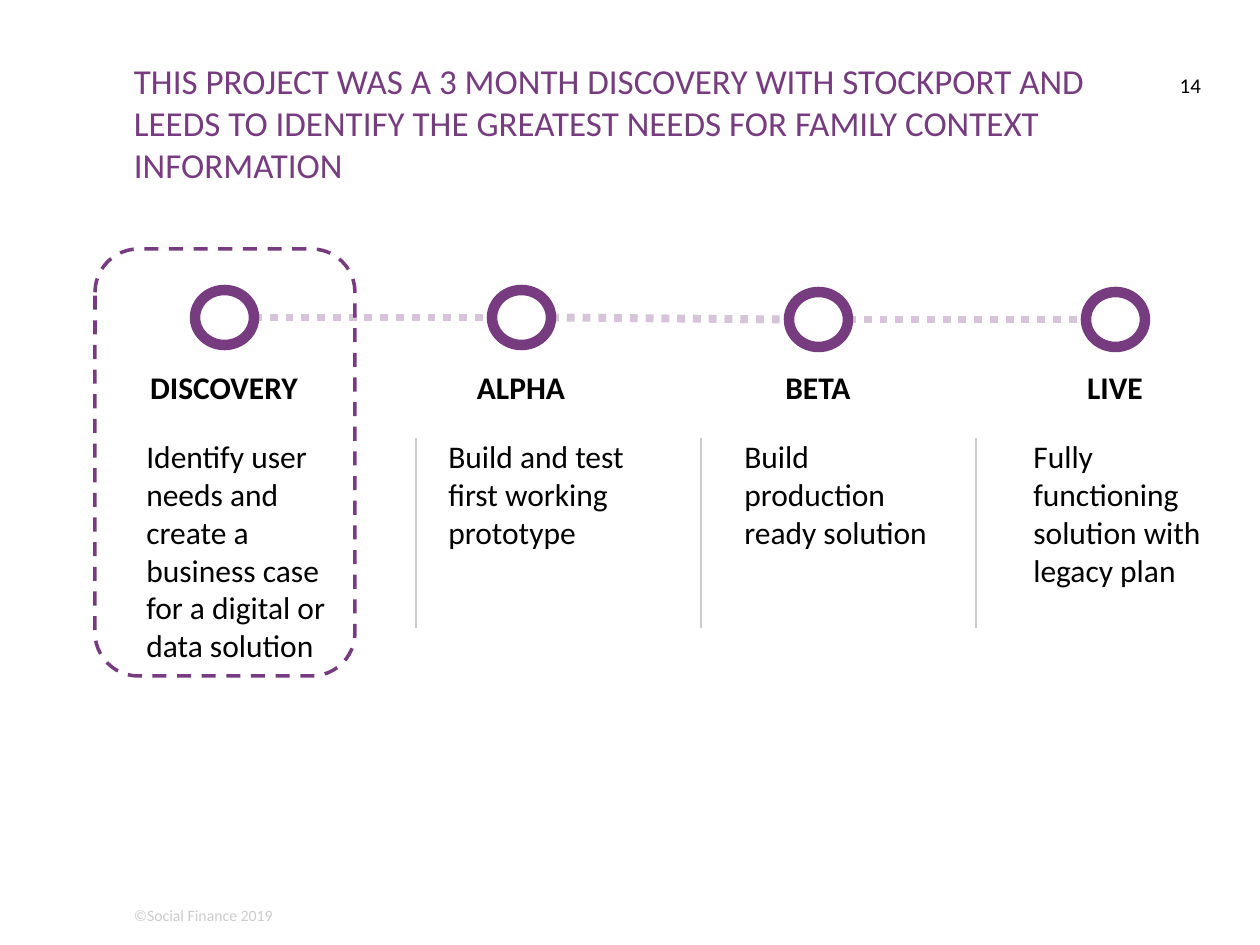
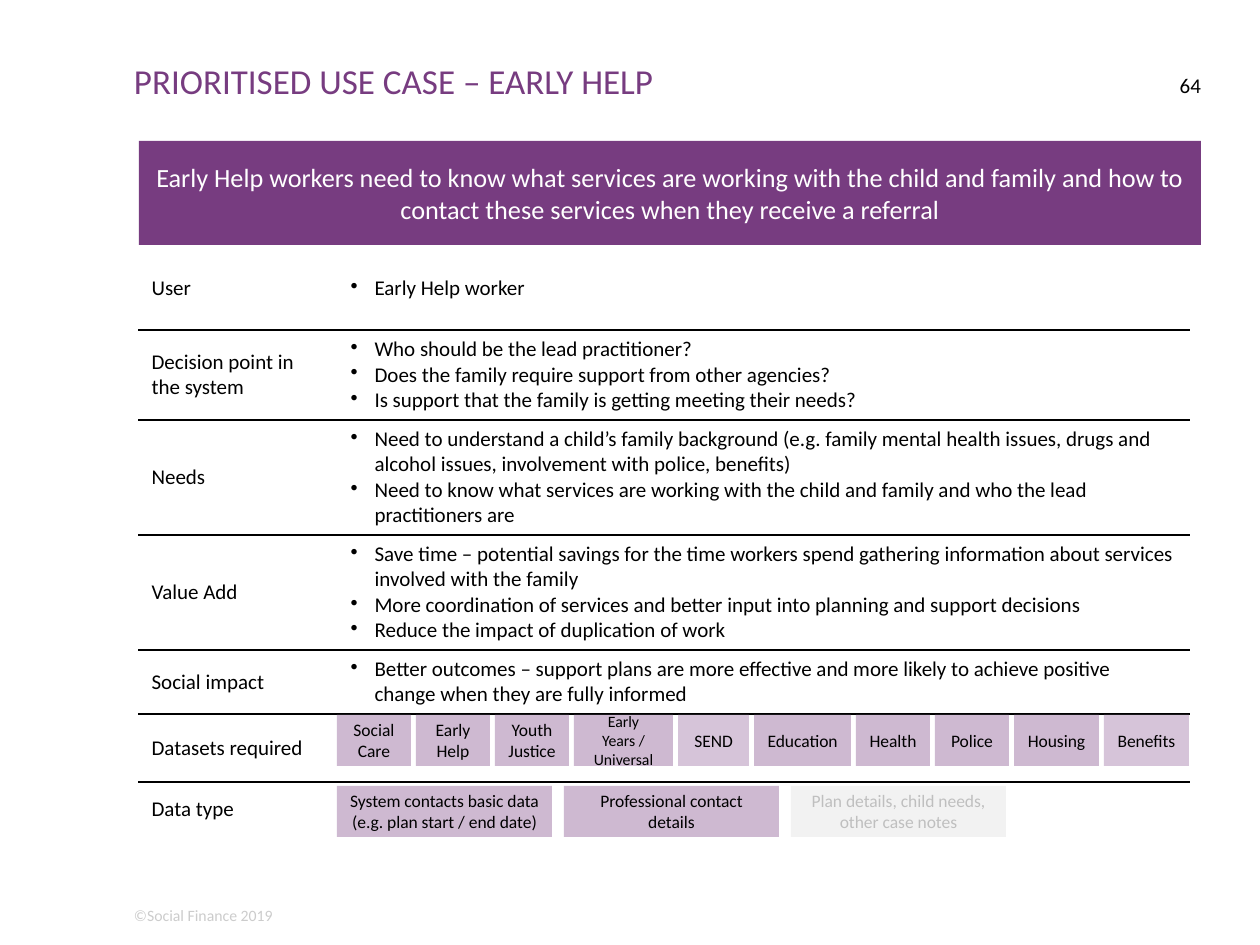
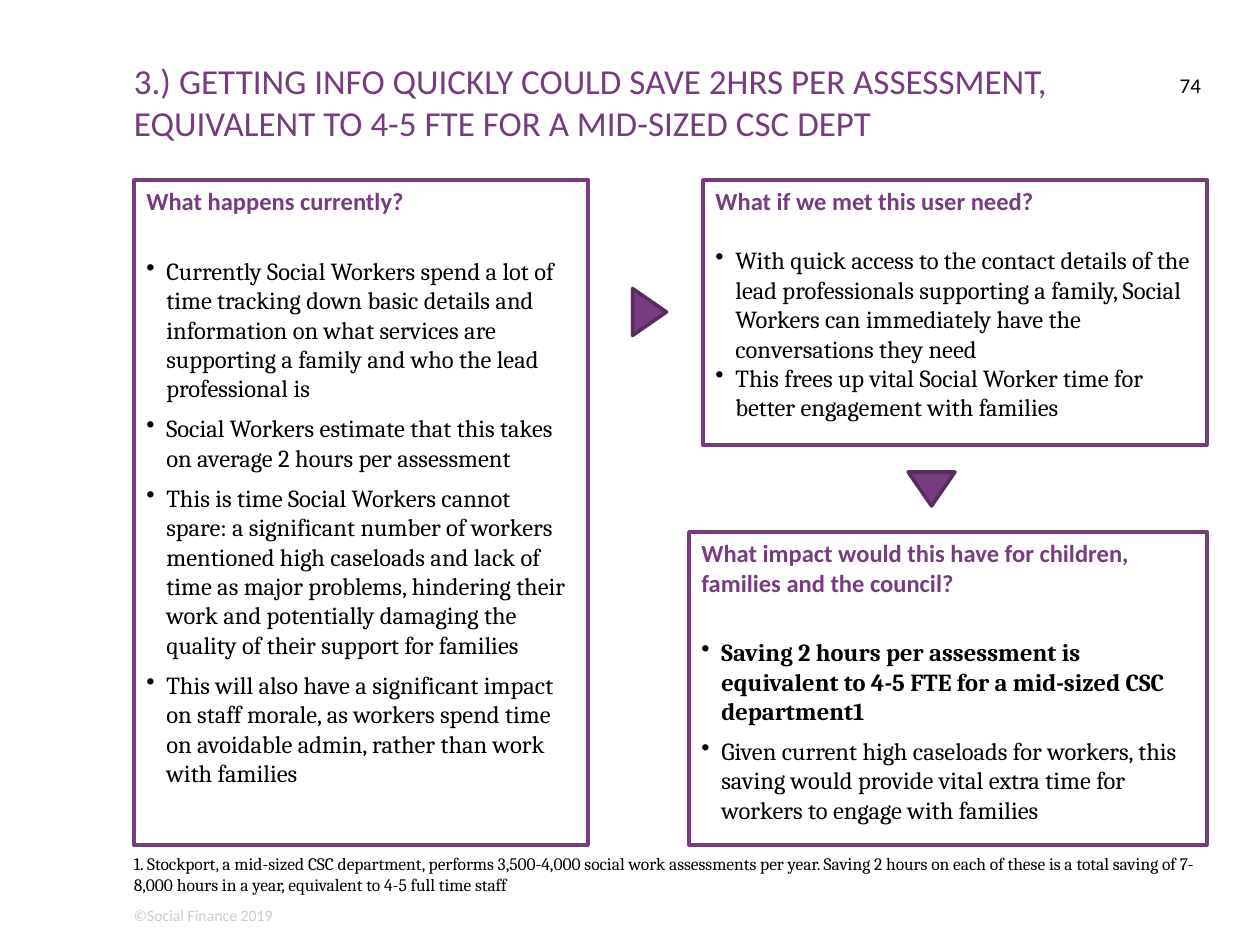
"""Build three slides on the family context discovery project."""
from lxml import etree
from pptx import Presentation
from pptx.dml.color import RGBColor
from pptx.enum.dml import MSO_LINE
from pptx.enum.shapes import MSO_CONNECTOR, MSO_SHAPE
from pptx.enum.text import MSO_ANCHOR, PP_ALIGN
from pptx.oxml.ns import qn
from pptx.util import Emu, Pt

EMU_PER_PX = 914400 / 126
SLIDE_WIDTH, SLIDE_HEIGHT = 1260, 945
COLOURS = {
    "purple": "773C80", "dark purple": "582C5F", "lilac": "CEB9D1",
    "pale lilac": "D6C4D9", "grey": "CCCCCC", "pale grey": "F2F2F2",
    "mid grey": "BFBFBF", "black": "000000", "white": "FFFFFF",
}
SANS, SERIF = "Calibri", "Cambria"
LEFT, CENTRE, RIGHT = PP_ALIGN.LEFT, PP_ALIGN.CENTER, PP_ALIGN.RIGHT
TOP, MIDDLE = MSO_ANCHOR.TOP, MSO_ANCHOR.MIDDLE
DOTTED, DASHED = MSO_LINE.ROUND_DOT, MSO_LINE.DASH
STRAIGHT = MSO_CONNECTOR.STRAIGHT
RECTANGLE, ROUNDED = MSO_SHAPE.RECTANGLE, MSO_SHAPE.ROUNDED_RECTANGLE
ELLIPSE, TRIANGLE = MSO_SHAPE.OVAL, MSO_SHAPE.ISOSCELES_TRIANGLE

STAGES = [
    ("DISCOVERY", 290, 134, 239,
     "Identify user needs and create a business case for a digital or data solution"),
    ("ALPHA", 290, 436, 224, "Build and test first working prototype"),
    ("BETA", 292, 732, 217, "Build production ready solution"),
    ("LIVE", 292, 1021, 217, "Fully functioning solution with legacy plan"),
]
USE_CASE_ROWS = [
    ("User", 83, ["Early Help worker"]),
    ("Decision point in the system", 90, [
        "Who should be the lead practitioner?",
        "Does the family require support from other agencies?",
        "Is support that the family is getting meeting their needs?"]),
    ("Needs", 115, [
        "Need to understand a child’s family background (e.g. family mental health "
        "issues, drugs and alcohol issues, involvement with police, benefits)",
        "Need to know what services are working with the child and family and who "
        "the lead practitioners are"]),
    ("Value Add", 115, [
        "Save time – potential savings for the time workers spend gathering "
        "information about services involved with the family",
        "More coordination of services and better input into planning and support decisions",
        "Reduce the impact of duplication of work"]),
    ("Social impact", 64, [
        "Better outcomes – support plans are more effective and more likely to "
        "achieve positive change when they are fully informed"]),
    ("Datasets required", 68, []),
    ("Data type", 54, []),
]
DATASETS = [
    ("Social Care", 74, "lilac", 10), ("Early Help", 74, "lilac", 10),
    ("Youth Justice", 74, "lilac", 10), ("Early Years / Universal", 99, "lilac", 9),
    ("SEND", 71, "pale lilac", 10), ("Education", 97, "lilac", 10),
    ("Health", 74, "lilac", 10), ("Police", 74, "lilac", 10),
    ("Housing", 85, "lilac", 10), ("Benefits", 85, "pale lilac", 10),
]
DATA_TYPES = [
    ("System contacts basic data (e.g. plan start / end date)", "lilac", "black"),
    ("Professional contact details", "lilac", "black"),
    ("Plan details, child needs, other case notes", "pale grey", "mid grey"),
]
PANELS = [
    ((134, 180, 454, 665), "What happens currently?", 6, [
        ("Currently Social Workers spend a lot of time tracking down basic details and "
         "information on what services are supporting a family and who the lead "
         "professional is", False),
        ("Social Workers estimate that this takes on average 2 hours per assessment", False),
        ("This is time Social Workers cannot spare: a significant number of workers "
         "mentioned high caseloads and lack of time as major problems, hindering their "
         "work and potentially damaging the quality of their support for families", False),
        ("This will also have a significant impact on staff morale, as workers spend "
         "time on avoidable admin, rather than work with families", False)]),
    ((703, 180, 504, 265), "What if we met this user need?", 0, [
        ("With quick access to the contact details of the lead professionals supporting "
         "a family, Social Workers can immediately have the conversations they need", False),
        ("This frees up vital Social Worker time for better engagement with families",
         False)]),
    ((689, 532, 518, 313),
     "What impact would this have for children, families and the council?", 6, [
        ("Saving 2 hours per assessment is equivalent to 4-5 FTE for a mid-sized CSC "
         "department1", True),
        ("Given current high caseloads for workers, this saving would provide vital "
         "extra time for workers to engage with families", False)]),
]


def px(length):
    """Turn pixels into EMU."""
    return Emu(round(length * EMU_PER_PX))


def colour(name):
    """Look up a named colour."""
    return RGBColor.from_string(COLOURS[name])


def write(para, text, size, tint="black", font=SANS, bold=False, align=LEFT):
    """Add one styled run to a paragraph."""
    para.alignment = align
    span = para.add_run()
    span.text = text
    span.font.size = Pt(size)
    span.font.name = font
    span.font.bold = bold
    span.font.color.rgb = colour(tint)


def add_bullet(para, indent):
    """Give a paragraph a hanging bullet."""
    properties = para._p.get_or_add_pPr()
    properties.set("marL", str(px(indent)))
    properties.set("indent", str(-px(indent)))
    etree.SubElement(properties, qn("a:buChar")).set("char", "•")


def add_text(page, bounds, text, size, inset=True, **style):
    """Add a wrapping text box with one paragraph."""
    frame = page.shapes.add_textbox(*map(px, bounds)).text_frame
    frame.word_wrap = True
    if not inset:
        frame.margin_left = frame.margin_right = 0
        frame.margin_top = frame.margin_bottom = 0
    write(frame.paragraphs[0], text, size, **style)


def add_box(page, kind, bounds, fill=None, line=None, width=2, dash=None):
    """Add a preset shape with plain fill and outline."""
    box = page.shapes.add_shape(kind, *map(px, bounds))
    box.shadow.inherit = False
    if fill:
        box.fill.solid()
        box.fill.fore_color.rgb = colour(fill)
    else:
        box.fill.background()
    if line:
        box.line.color.rgb = colour(line)
        box.line.width = Pt(width)
        box.line.dash_style = dash
    else:
        box.line.fill.background()
    return box


def add_label_box(page, bounds, text, size, fill, tint="black"):
    """Add a filled rectangle with centred text."""
    frame = add_box(page, RECTANGLE, bounds, fill).text_frame
    frame.vertical_anchor = MIDDLE
    write(frame.paragraphs[0], text, size, tint, align=CENTRE)


def add_line(page, start, end, tint, width, dash=None):
    """Add a straight connector without shadow."""
    line = page.shapes.add_connector(STRAIGHT, *map(px, start + end))
    line.line.color.rgb = colour(tint)
    line.line.width = Pt(width)
    line.line.dash_style = dash
    etree.SubElement(line._element.spPr, qn("a:effectLst"))


def add_page(deck, title, number):
    """Add a blank page with title, page number and footer."""
    page = deck.slides.add_slide(deck.slide_layouts[6])
    add_text(page, (134, 906, 1063, 19), "©Social Finance 2019", 9, False, tint="grey")
    add_text(page, (134, 59, 1005, 93), title, 20, False, tint="purple")
    add_text(page, (1166, 73, 35, 50), number, 12, False, align=RIGHT)
    return page


def add_cell_border(cell, side):
    """Draw a thin black border on one side of a cell."""
    border = etree.SubElement(cell._tc.get_or_add_tcPr(), qn(f"a:{side}"))
    border.set("w", str(Pt(1)))
    fill = etree.SubElement(border, qn("a:solidFill"))
    etree.SubElement(fill, qn("a:srgbClr")).set("val", COLOURS["black"])


def add_use_case_table(page):
    """Add the ruled table of use case details."""
    heights = [height for _, height, _ in USE_CASE_ROWS]
    bounds = (139, 247, 1050, sum(heights))
    table = page.shapes.add_table(len(heights), 2, *map(px, bounds)).table
    table.first_row = table.horz_banding = False
    for column, width in zip(table.columns, (199, 851)):
        column.width = px(width)
    for index, (heading, height, points) in enumerate(USE_CASE_ROWS):
        table.rows[index].height = px(height)
        head, body = table.rows[index].cells
        for cell in (head, body):
            if index > 0:
                add_cell_border(cell, "lnT")
            if index < len(heights) - 1:
                add_cell_border(cell, "lnB")
            cell.fill.background()
            cell.vertical_anchor = MIDDLE
        write(head.text_frame.paragraphs[0], heading, 12)
        frame = body.text_frame
        for order, point in enumerate(points):
            para = frame.add_paragraph() if order else frame.paragraphs[0]
            add_bullet(para, 24)
            write(para, point, 12)


def add_panel(page, bounds, heading, gap, points):
    """Add an outlined panel with a heading and bullets."""
    frame = add_box(page, RECTANGLE, bounds, "white", "purple").text_frame
    frame.vertical_anchor = TOP
    write(frame.paragraphs[0], heading, 14, "purple", bold=True)
    for order, (point, bold) in enumerate(points):
        para = frame.add_paragraph()
        add_bullet(para, 20)
        para.space_before = Pt(gap if order else gap + 17)
        write(para, point, 14, font=SERIF, bold=bold)


def add_arrow(page, left, top, rotation):
    """Add a turned triangle that points to the next panel."""
    arrow = add_box(page, TRIANGLE, (left, top, 47, 34), "purple", "dark purple")
    arrow.rotation = rotation


def build_stages(deck):
    """Build the page with the four project stages."""
    page = add_page(deck, "THIS PROJECT WAS A 3 MONTH DISCOVERY WITH STOCKPORT AND LEEDS "
                    "TO IDENTIFY THE GREATEST NEEDS FOR FAMILY CONTEXT INFORMATION", "14")
    first, step, width, height = 195, 297, 59, 55
    for left in (416, 701, 976):
        add_line(page, (left, 438), (left, 628), "grey", 1.5)
    for index, (stage, following) in enumerate(zip(STAGES, STAGES[1:])):
        left = first + step * index
        add_line(page, (left + width, stage[1] + height / 2),
                 (left + step, following[1] + height / 2), "pale lilac", 4.5, DOTTED)
    for index, (name, top, text_left, text_width, text) in enumerate(STAGES):
        offset = step * index
        add_box(page, ELLIPSE, (first + offset, top, width, height), None, "purple", 6)
        add_text(page, (112 + offset, 362, 224, 50), name, 18, bold=True, align=CENTRE)
        add_text(page, (text_left, 431, text_width, 165), text, 18)
    add_box(page, ROUNDED, (95, 249, 260, 427), None, "purple", 2, DASHED)


def build_use_case(deck):
    """Build the page on the early help use case."""
    page = add_page(deck, "PRIORITISED USE CASE – EARLY HELP", "64")
    add_label_box(page, (139, 141, 1062, 104),
                  "Early Help workers need to know what services are working with the child "
                  "and family and how to contact these services when they receive a referral",
                  15, "purple", "white")
    add_use_case_table(page)
    for index, (text, fill, tint) in enumerate(DATA_TYPES):
        add_label_box(page, (337 + 227 * index, 786, 215, 51), text, 10, fill, tint)
    left = 337
    for text, width, fill, size in DATASETS:
        add_label_box(page, (left, 715, width, 51), text, size, fill)
        left += width + 5


def build_savings(deck):
    """Build the page on time saved per assessment."""
    page = add_page(deck, "3.) GETTING INFO QUICKLY COULD SAVE 2HRS PER ASSESSMENT, "
                    "EQUIVALENT TO 4-5 FTE FOR A MID-SIZED CSC DEPT", "74")
    for panel in PANELS:
        add_panel(page, *panel)
    add_arrow(page, 626, 295, 90)
    add_arrow(page, 908, 472, 180)
    add_text(page, (134, 853, 1070, 43),
             "1. Stockport, a mid-sized CSC department, performs 3,500-4,000 social work "
             "assessments per year. Saving 2 hours on each of these is a total saving of "
             "7-8,000 hours in a year, equivalent to 4-5 full time staff",
             10, False, font=SERIF)


def main():
    """Build and save the deck."""
    deck = Presentation()
    deck.slide_width, deck.slide_height = px(SLIDE_WIDTH), px(SLIDE_HEIGHT)
    build_stages(deck)
    build_use_case(deck)
    build_savings(deck)
    deck.save("out.pptx")


if __name__ == "__main__":
    main()
